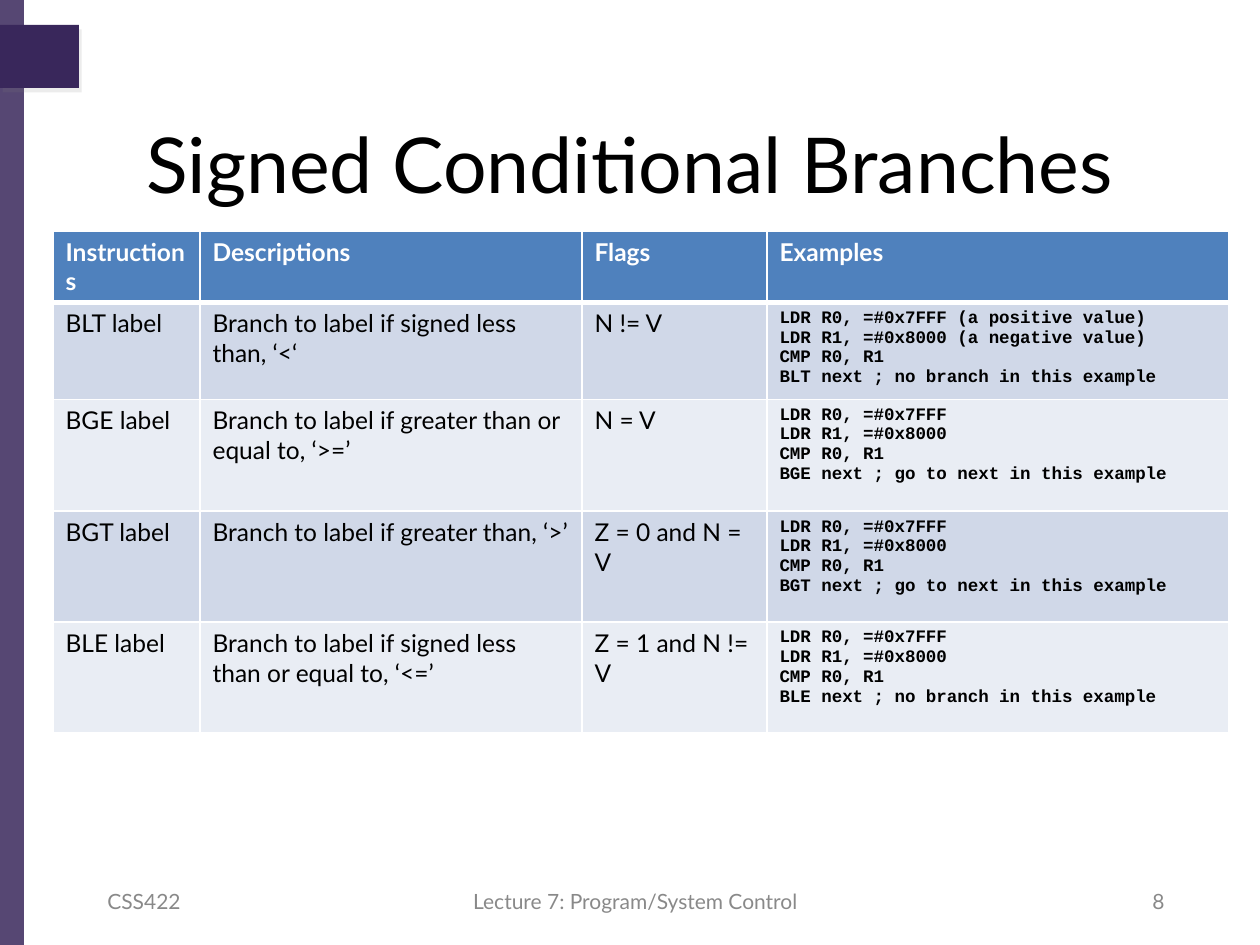
import pptx
import pptx.util
import pptx.dml.color
import pptx.enum.shapes
import pptx.enum.text
import pptx.oxml
import pptx.oxml.ns

RGB = pptx.dml.color.RGBColor
PURPLE = RGB(0x39, 0x27, 0x5B)
BLACK = RGB(0x00, 0x00, 0x00)
WHITE = RGB(0xFF, 0xFF, 0xFF)
GRAY = RGB(0x89, 0x89, 0x89)
SHADOW = RGB(0x80, 0x80, 0x80)
HEADER_BLUE = RGB(0x4F, 0x81, 0xBD)
BANDS = (RGB(0xD0, 0xD8, 0xE8), RGB(0xE9, 0xED, 0xF4))

BODY_FONT = "Lato"
CODE_FONT = "Courier New"
ALIGN = pptx.enum.text.PP_ALIGN

COLUMN_WIDTHS = (147, 382, 185, 462)
ROW_HEIGHTS = (70, 91, 112, 111, 111)
HEADERS = ("Instructions", "Descriptions", "Flags", "Examples")
NOT_TAKEN = "no branch in this example"
TAKEN = "go to next in this example"
# mnemonic, description, flags, notes on the two loaded values, outcome
BRANCHES = (
    ("BLT", "Branch to label if signed less than, ‘<‘", "N != V",
     (" (a positive value)", " (a negative value)"), NOT_TAKEN),
    ("BGE", "Branch to label if greater than or equal to, ‘>=’", "N = V",
     ("", ""), TAKEN),
    ("BGT", "Branch to label if greater than, ‘>’", "Z = 0 and N = V",
     ("", ""), TAKEN),
    ("BLE", "Branch to label if signed less than or equal to, ‘<=’",
     "Z = 1 and N != V", ("", ""), NOT_TAKEN),
)
# left, width, text, alignment
FOOTERS = (
    (95, 294, "CSS422", ALIGN.LEFT),
    (436, 399, "Lecture 7: Program/System Control", ALIGN.CENTER),
    (883, 294, "8", ALIGN.RIGHT),
)


def px(count):
    return pptx.util.Emu(round(count * 914400 / 126))


def drawing_xml(text):
    """Parse an element whose root tag is in the a: namespace."""
    tag, rest = text.split(" ", 1)
    return pptx.oxml.parse_xml(f"{tag} {pptx.oxml.ns.nsdecls('a')} {rest}")


def write_lines(frame, lines, size, color, font=BODY_FONT, bold=False,
                align=ALIGN.LEFT):
    for index, line in enumerate(lines):
        paragraph = frame.paragraphs[0] if index == 0 else frame.add_paragraph()
        paragraph.alignment = align
        run = paragraph.add_run()
        run.text = line
        run.font.name = font
        run.font.size = pptx.util.Pt(size)
        run.font.bold = bold
        run.font.color.rgb = color


def add_text(slide, box, text, size, color, align):
    frame = slide.shapes.add_textbox(*map(px, box)).text_frame
    frame.word_wrap = True
    frame.vertical_anchor = pptx.enum.text.MSO_ANCHOR.MIDDLE
    write_lines(frame, [text], size, color, align=align)


def add_bar(slide, box):
    shape = slide.shapes.add_shape(
        pptx.enum.shapes.MSO_SHAPE.RECTANGLE, *map(px, box))
    shape.shadow.inherit = False
    shape.fill.solid()
    shape.fill.fore_color.rgb = PURPLE
    shape.line.fill.background()
    return shape


def set_opacity(shape, percent):
    color = shape.fill._xPr.find(".//" + pptx.oxml.ns.qn("a:srgbClr"))
    color.append(drawing_xml(f'<a:alpha val="{percent * 1000}"/>'))


def add_drop_shadow(shape):
    effects = shape._element.spPr.find(pptx.oxml.ns.qn("a:effectLst"))
    effects.append(drawing_xml(
        f'<a:outerShdw blurRad="0" dist="{pptx.util.Pt(3)}" dir="{60 * 60000}">'
        f'<a:srgbClr val="{SHADOW}"><a:alpha val="15000"/></a:srgbClr>'
        '</a:outerShdw>'))


def style_cell(cell, fill, top=1, bottom=1):
    """Fill the cell and give it white borders, widths in points."""
    cell.fill.solid()
    cell.fill.fore_color.rgb = fill
    properties = cell._tc.get_or_add_tcPr()
    widths = {"L": 1, "R": 1, "T": top, "B": bottom}
    for index, (side, width) in enumerate(widths.items()):
        properties.insert(index, drawing_xml(
            f'<a:ln{side} w="{pptx.util.Pt(width)}"><a:solidFill>'
            f'<a:srgbClr val="{WHITE}"/></a:solidFill></a:ln{side}>'))


def example_code(mnemonic, notes, outcome):
    return [f"LDR R0, =#0x7FFF{notes[0]}", f"LDR R1, =#0x8000{notes[1]}",
            "CMP R0, R1", f"{mnemonic} next ; {outcome}"]


def add_branch_table(slide):
    table = slide.shapes.add_table(
        len(ROW_HEIGHTS), len(COLUMN_WIDTHS), px(53), px(231),
        px(sum(COLUMN_WIDTHS)), px(sum(ROW_HEIGHTS))).table
    for column, width in zip(table.columns, COLUMN_WIDTHS):
        column.width = px(width)
    for row, height in zip(table.rows, ROW_HEIGHTS):
        row.height = px(height)

    for cell, header in zip(table.rows[0].cells, HEADERS):
        style_cell(cell, HEADER_BLUE, bottom=3)
        write_lines(cell.text_frame, [header], 14, WHITE, bold=True)

    for index, branch in enumerate(BRANCHES):
        mnemonic, description, flags, notes, outcome = branch
        cells = list(table.rows[index + 1].cells)
        for cell in cells:
            style_cell(cell, BANDS[index % 2], top=3 if index == 0 else 1)
        for cell, text in zip(cells, (f"{mnemonic} label", description, flags)):
            write_lines(cell.text_frame, [text], 14, BLACK)
        write_lines(cells[3].text_frame, example_code(mnemonic, notes, outcome),
                    10, BLACK, font=CODE_FONT, bold=True)


def main():
    presentation = pptx.Presentation()
    presentation.slide_width = px(1260)
    presentation.slide_height = px(945)
    slide = presentation.slides.add_slide(presentation.slide_layouts[6])

    set_opacity(add_bar(slide, (0, 0, 24, 945)), 85)
    add_drop_shadow(add_bar(slide, (0, 25, 79, 63)))
    add_text(slide, (63, 105, 1134, 116), "Signed Conditional Branches",
             44, BLACK, ALIGN.CENTER)
    add_branch_table(slide)
    for left, width, text, align in FOOTERS:
        add_text(slide, (left, 876, width, 50), text, 12, GRAY, align)

    presentation.save("out.pptx")


if __name__ == "__main__":
    main()
